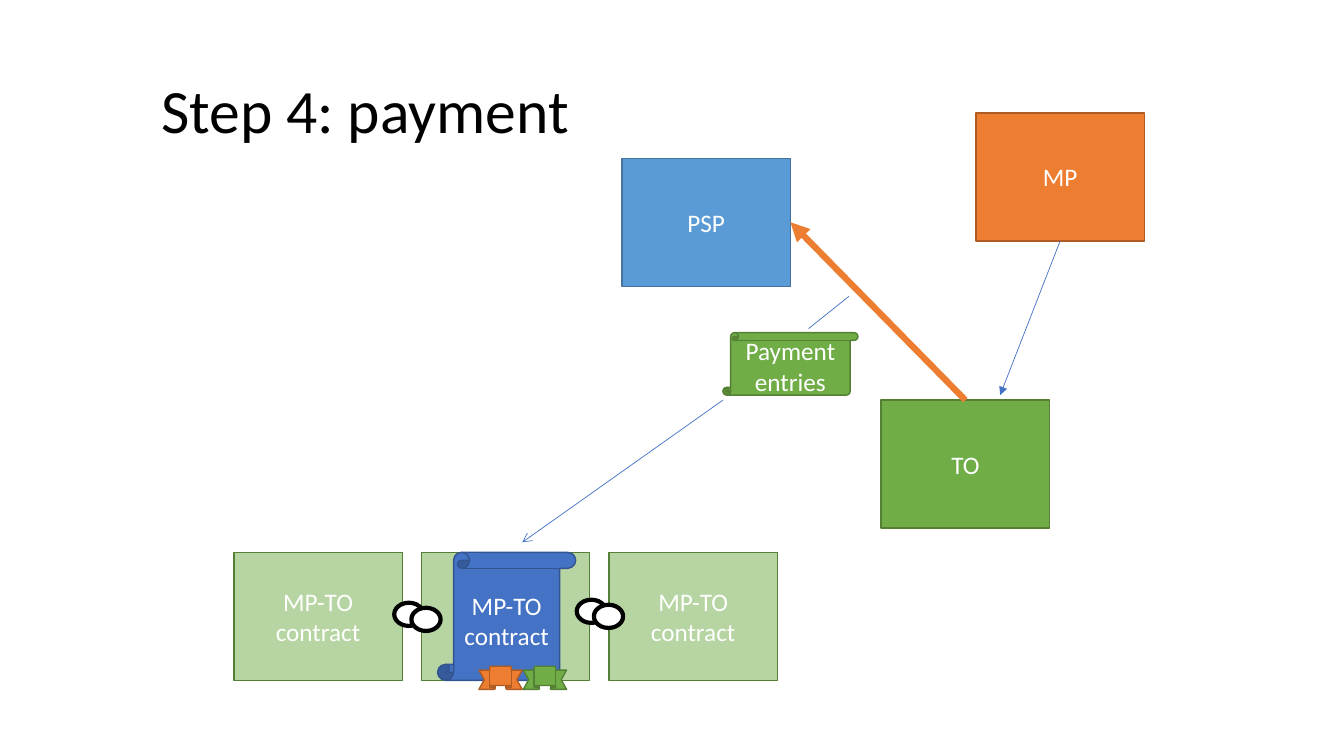
from dataclasses import dataclass
from typing import Optional

from lxml import etree
from pptx import Presentation
from pptx import util as u
from pptx.dml.color import RGBColor
from pptx.enum import shapes, text
from pptx.oxml import ns

PX = 9144  # EMU in one px, 100 px to the inch
FONT = "Calibri"
BOX_W, BOX_H = 167, 127

BLACK = RGBColor(0x00, 0x00, 0x00)
WHITE = RGBColor(0xFF, 0xFF, 0xFF)
ORANGE = RGBColor(0xED, 0x7D, 0x31)
DARK_ORANGE = RGBColor(0xAF, 0x5C, 0x24)
GREEN = RGBColor(0x70, 0xAD, 0x47)
DARK_GREEN = RGBColor(0x53, 0x80, 0x35)
BLUE = RGBColor(0x44, 0x72, 0xC4)
DARK_BLUE = RGBColor(0x32, 0x54, 0x91)
SKY = RGBColor(0x5B, 0x9B, 0xD5)
DARK_SKY = RGBColor(0x43, 0x73, 0x9E)

RECT = shapes.MSO_SHAPE.RECTANGLE
OVAL = shapes.MSO_SHAPE.OVAL
SCROLL = shapes.MSO_SHAPE.VERTICAL_SCROLL
RIBBON = shapes.MSO_SHAPE.UP_RIBBON


@dataclass
class Block:
    left: int
    top: int
    width: int = BOX_W
    height: int = BOX_H
    label: str = ""
    fill: RGBColor = GREEN
    line: RGBColor = DARK_GREEN
    kind: shapes.MSO_SHAPE = RECT
    line_width: float = 1
    opacity: int = 100


@dataclass
class Arrow:
    start: tuple[int, int]
    end: tuple[int, int]
    color: RGBColor = BLUE
    width: float = 0.5
    head: Optional[str] = None


def px(length: int) -> u.Emu:
    return u.Emu(length * PX)


def draw_block(parent, block: Block):
    shape = parent.add_shape(block.kind, px(block.left), px(block.top),
                             px(block.width), px(block.height))
    shape.shadow.inherit = False
    shape.fill.solid()
    shape.fill.fore_color.rgb = block.fill
    if block.opacity < 100:
        color = shape.fill._xPr.find(".//" + ns.qn("a:srgbClr"))
        etree.SubElement(color, ns.qn("a:alpha"), val=str(block.opacity * 1000))
    shape.line.color.rgb = block.line
    shape.line.width = u.Pt(block.line_width)
    if block.label:
        frame = shape.text_frame
        frame.word_wrap = True
        frame.vertical_anchor = text.MSO_ANCHOR.MIDDLE
        para = frame.paragraphs[0]
        para.text = block.label
        para.alignment = text.PP_ALIGN.CENTER
        para.font.name, para.font.size = FONT, u.Pt(18)
        para.font.color.rgb = WHITE
    return shape


def draw_arrow(parent, arrow: Arrow):
    line = parent.add_connector(shapes.MSO_CONNECTOR.STRAIGHT,
                                *map(px, arrow.start + arrow.end))
    line.line.color.rgb = arrow.color
    line.line.width = u.Pt(arrow.width)
    if arrow.head:
        etree.SubElement(line.line._get_or_add_ln(), ns.qn("a:tailEnd"), type=arrow.head)
    etree.SubElement(line._element.spPr, ns.qn("a:effectLst"))
    return line


def draw_title(parent, title: str) -> None:
    box = parent.add_textbox(px(150), px(40), px(1150), px(145))
    frame = box.text_frame
    frame.word_wrap = True
    frame.vertical_anchor = text.MSO_ANCHOR.MIDDLE
    para = frame.paragraphs[0]
    para.text = title
    para.line_spacing = 0.9
    para.font.name, para.font.size = FONT, u.Pt(44)
    para.font.color.rgb = BLACK


def draw_chain_link(parent, left: int, top: int) -> None:
    group = parent.add_group_shape()
    for right, down in ((0, 0), (17, 5)):
        draw_block(group.shapes, Block(left + right, top + down, 29, 23, fill=WHITE,
                                       line=BLACK, kind=OVAL, line_width=3))


def main() -> None:
    deck = Presentation()
    deck.slide_width, deck.slide_height = px(1333), px(750)
    page = deck.slides.add_slide(deck.slide_layouts[6]).shapes
    draw_title(page, "Step 4: payment")

    # Parties
    mp = draw_block(page, Block(968, 112, label="MP", fill=ORANGE, line=DARK_ORANGE))
    to = draw_block(page, Block(874, 397, label="TO"))
    psp = draw_block(page, Block(617, 157, label="PSP", fill=SKY, line=DARK_SKY))

    # Chain of contracts
    for index in range(3):
        draw_block(page, Block(232 + 186 * index, 548, label="MP-TO contract", opacity=50))
    draw_chain_link(page, 391, 598)
    draw_chain_link(page, 572, 595)

    # Current contract with its two seals
    draw_block(page, Block(434, 548, 137, label="MP-TO contract", fill=BLUE,
                           line=DARK_BLUE, kind=SCROLL))
    for index, (fill, line) in enumerate(((ORANGE, DARK_ORANGE), (GREEN, DARK_GREEN))):
        draw_block(page, Block(475 + 44 * index, 661, 43, 23, fill=fill, line=line, kind=RIBBON))

    # Payment entries, recorded in the contract
    draw_block(page, Block(717, 330, 134, 62, label="Payment entries", kind=SCROLL))
    draw_arrow(page, Arrow((717, 397), (518, 538), head="arrow"))
    draw_arrow(page, Arrow((842, 294), (802, 326)))

    # Flows between the parties
    request = draw_arrow(page, Arrow((1052, 240), (992, 392), head="triangle"))
    request.begin_connect(mp, 2)
    payment = draw_arrow(page, Arrow((957, 397), (784, 221), ORANGE, 4.5, "triangle"))
    payment.begin_connect(to, 0)
    payment.end_connect(psp, 3)

    deck.save("out.pptx")


if __name__ == "__main__":
    main()
